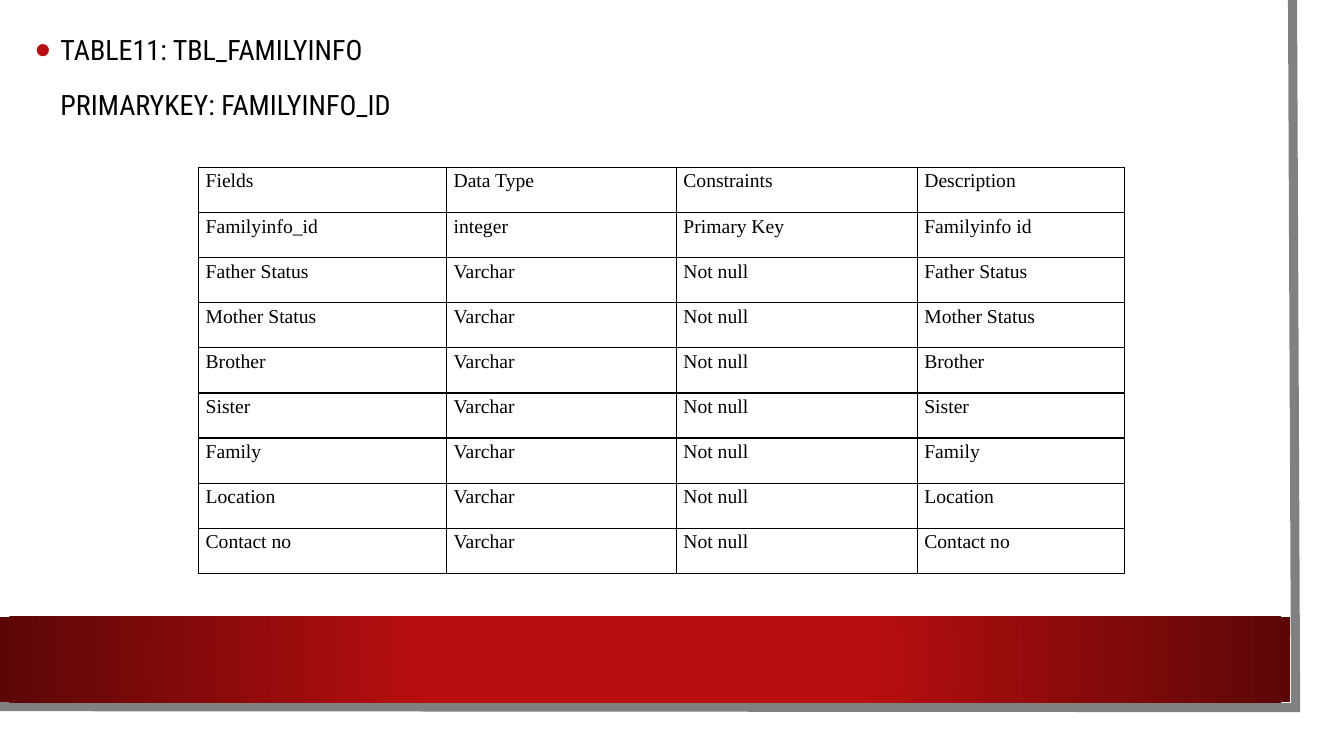
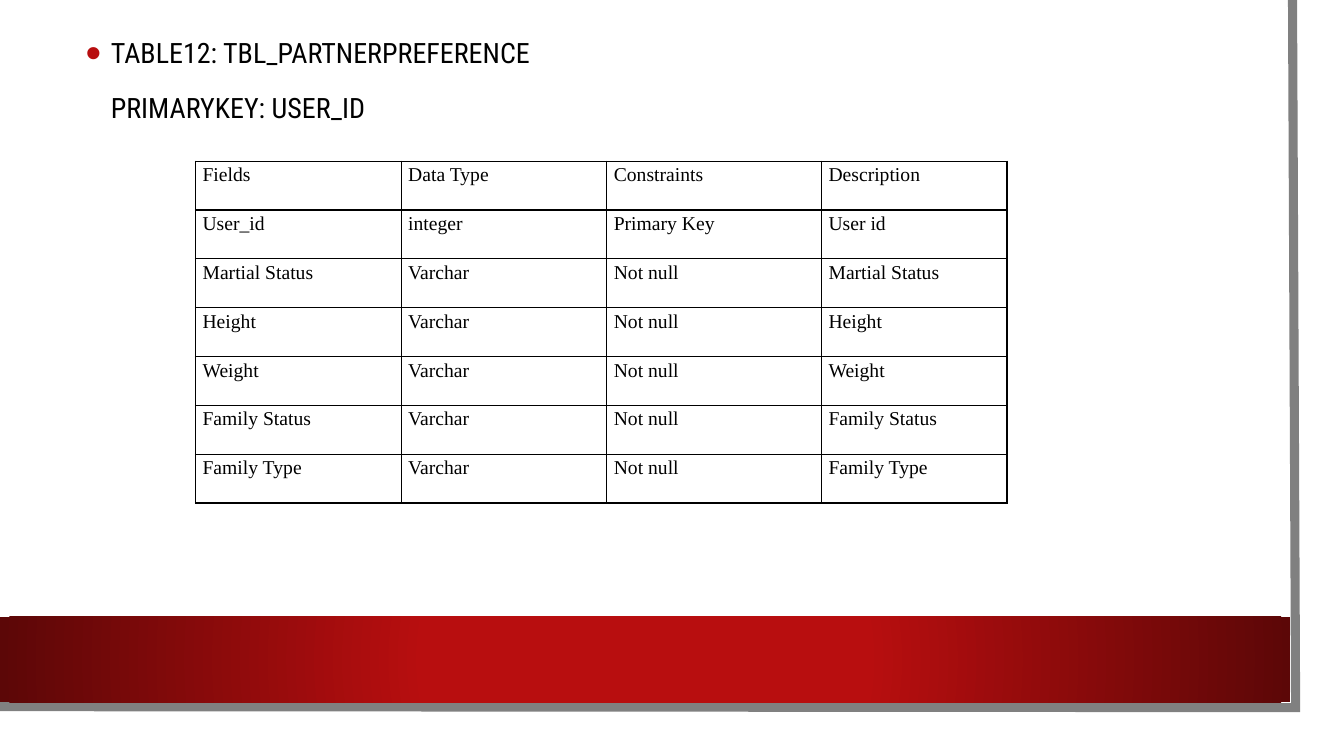
from dataclasses import dataclass

from lxml.etree import SubElement
from pptx import Presentation
from pptx.dml.color import RGBColor
from pptx.enum.shapes import MSO_SHAPE
from pptx.enum.text import MSO_ANCHOR
from pptx.oxml import parse_xml
from pptx.oxml.ns import nsdecls, qn
from pptx.slide import Slide
from pptx.table import _Cell as Cell
from pptx.text.text import _Paragraph as Para
from pptx.util import Emu, Inches, Pt

WIDE, HIGH = Inches(13.33), Inches(7.5)
RED, DARK, GREY, BLACK, WHITE = "B80E0F", "5C0707", "808080", "000000", "FFFFFF"
HEAD_FONT, CELL_FONT = "Roboto Condensed", "Times New Roman"
HEADS = ("Fields", "Data Type", "Constraints", "Description")


@dataclass
class Sheet:
    """One table slide; lengths are percent of the slide's size."""
    title: str
    key: str
    fields: list[str]
    head: tuple[float, float]
    grid: tuple[float, float]
    cols: tuple[float, ...]
    row: float

    def rows(self) -> list[tuple[str, ...]]:
        first = (self.key, "integer", "Primary Key", self.key.replace("_", " "))
        rest = [(name, "Varchar", "Not null", name) for name in self.fields]
        return [HEADS, first, *rest]


SHEETS = [
    Sheet("TABLE11: TBL_FAMILYINFO", "Familyinfo_id",
          ["Father Status", "Mother Status", "Brother", "Sister", "Family",
           "Location", "Contact no"],
          head=(1.88, 2.8), grid=(14.78, 22.13),
          cols=(18.45, 17.1, 17.93, 15.4), row=5.97),
    Sheet("TABLE12: TBL_PARTNERPREFERENCE", "User_id",
          ["Martial Status", "Height", "Weight", "Family Status", "Family Type"],
          head=(5.63, 3.2), grid=(14.55, 21.33),
          cols=(15.3, 15.3, 15.98, 13.8), row=6.46),
]


def across(share: float) -> Emu:
    return Emu(round(WIDE * share / 100))


def down(share: float) -> Emu:
    return Emu(round(HIGH * share / 100))


def place(x: float, y: float, w: float, h: float) -> tuple[Emu, ...]:
    return across(x), down(y), across(w), down(h)


def tint(code: str) -> RGBColor:
    return RGBColor.from_string(code)


def write(para: Para, text: str, *, font: str, size: float, line: float,
          above: float = 0, color: str = BLACK) -> None:
    para.line_spacing = line
    para.space_before = Pt(above)
    run = para.add_run()
    run.text = text
    run.font.name, run.font.size = font, Pt(size)
    run.font.color.rgb = tint(color)


def indent(para: Para, dot: bool) -> None:
    """Hang a red dot before the text, or align with the text after it."""
    step = Inches(0.25)
    props = para._p.get_or_add_pPr()
    props.set("marL", str(step))
    props.set("indent", str(-step if dot else 0))
    if dot:
        hue = SubElement(props, qn("a:buClr"))
        SubElement(hue, qn("a:srgbClr"), val=RED)
        SubElement(props, qn("a:buSzPct"), val="160000")
        SubElement(props, qn("a:buFont"), typeface="Arial")
        SubElement(props, qn("a:buChar"), char="•")
    else:
        SubElement(props, qn("a:buNone"))


def draw_frame(slide: Slide) -> None:
    # White sheet
    sheet = slide.shapes.add_shape(MSO_SHAPE.RECTANGLE, *place(0, 0, 98.25, 96.93))
    sheet.shadow.inherit = False
    sheet.fill.solid()
    sheet.fill.fore_color.rgb = tint(WHITE)
    sheet.line.fill.background()

    # Grey edge at the right and the foot
    pen = slide.shapes.build_freeform(across(96.17), 0)
    pen.add_line_segments([(across(96.4), down(93.6)), (across(-0.23), down(93.47))],
                          close=False)
    edge = pen.convert_to_shape()
    edge.shadow.inherit = False
    edge.fill.background()
    edge.line.color.rgb = tint(GREY)
    edge.line.width = Pt(6.5)
    SubElement(edge.line._get_or_add_ln(), qn("a:miter"), lim="800000")

    # Red band that darkens from its centre
    band = slide.shapes.add_shape(MSO_SHAPE.RECTANGLE, *place(0, 81.6, 96.02, 11.33))
    band.shadow.inherit = False
    band.line.fill.background()
    band.fill.gradient()
    for stop, (spot, code) in zip(band.fill.gradient_stops, [(0.34, RED), (1, DARK)]):
        stop.position = spot
        stop.color.rgb = tint(code)
    slant = band._element.spPr.find(qn("a:gradFill")).find(qn("a:lin"))
    slant.getparent().replace(slant, parse_xml(
        f'<a:path {nsdecls("a")} path="circle">'
        '<a:fillToRect l="50000" t="50000" r="50000" b="50000"/></a:path>'))


def draw_head(slide: Slide, sheet: Sheet) -> None:
    frame = slide.shapes.add_textbox(*place(*sheet.head, 85.3, 16)).text_frame
    frame.word_wrap = True
    top, low = frame.paragraphs[0], frame.add_paragraph()
    indent(top, dot=True)
    indent(low, dot=False)
    style = dict(font=HEAD_FONT, size=20, line=1.2)
    write(top, sheet.title, **style)
    write(low, f"PRIMARYKEY: {sheet.key.upper()}", above=10, **style)


def rule(cell: Cell) -> None:
    """Draw a thin black line on each side of a cell."""
    props = cell._tc.get_or_add_tcPr()
    for spot, side in enumerate("LRTB"):
        props.insert(spot, parse_xml(
            f'<a:ln{side} {nsdecls("a")} w="{Pt(1)}"><a:solidFill>'
            f'<a:srgbClr val="{BLACK}"/></a:solidFill></a:ln{side}>'))


def draw_grid(slide: Slide, sheet: Sheet) -> None:
    rows = sheet.rows()
    spot = place(*sheet.grid, sum(sheet.cols), sheet.row * len(rows))
    table = slide.shapes.add_table(len(rows), len(HEADS), *spot).table
    table.first_row = table.horz_banding = False
    for col, share in zip(table.columns, sheet.cols):
        col.width = across(share)
    for line, texts in zip(table.rows, rows):
        line.height = down(sheet.row)
        for cell, text in zip(line.cells, texts):
            cell.margin_left = cell.margin_right = Inches(0.07)
            cell.margin_top = cell.margin_bottom = 0
            cell.vertical_anchor = MSO_ANCHOR.TOP
            cell.fill.background()
            rule(cell)
            write(cell.text_frame.paragraphs[0], text,
                  font=CELL_FONT, size=14, line=1.15)


def main() -> None:
    deck = Presentation()
    deck.slide_width, deck.slide_height = WIDE, HIGH
    for sheet in SHEETS:
        slide = deck.slides.add_slide(deck.slide_layouts[6])
        draw_frame(slide)
        draw_head(slide, sheet)
        draw_grid(slide, sheet)
    deck.save("out.pptx")


if __name__ == "__main__":
    main()
